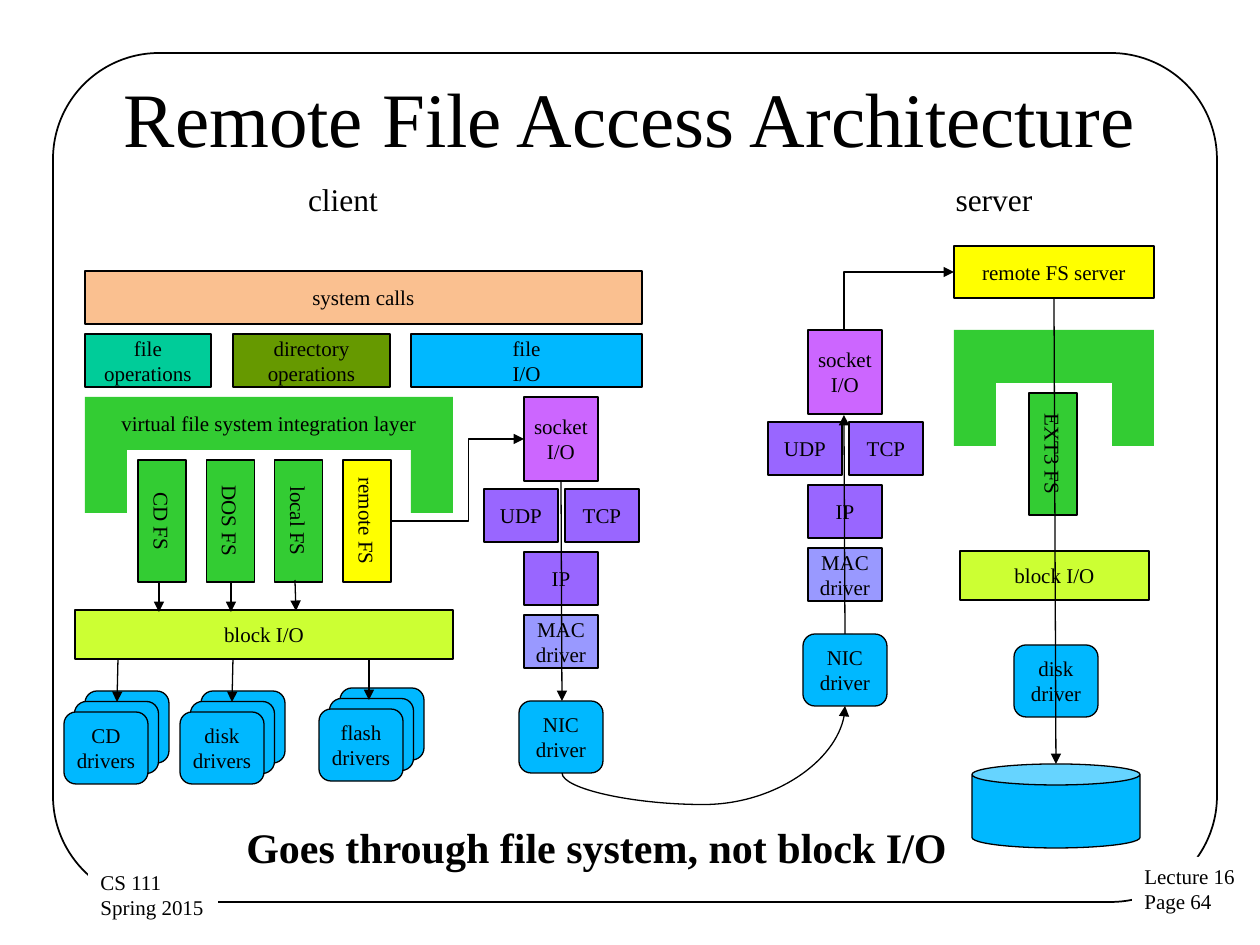
from math import cos, radians, sin

from lxml import etree
from pptx import Presentation
from pptx.dml.color import RGBColor
from pptx.enum.shapes import MSO_CONNECTOR, MSO_SHAPE
from pptx.enum.text import MSO_ANCHOR, PP_ALIGN
from pptx.oxml.ns import qn
from pptx.util import Emu, Inches, Pt

SCALE = 914400 / 126
FONT = "Times New Roman"
RECT, ROUND, CAN = MSO_SHAPE.RECTANGLE, MSO_SHAPE.ROUNDED_RECTANGLE, MSO_SHAPE.CAN
STRAIGHT, ELBOW, CURVE = MSO_CONNECTOR.STRAIGHT, MSO_CONNECTOR.ELBOW, MSO_CONNECTOR.CURVE
LEFT, CENTER = PP_ALIGN.LEFT, PP_ALIGN.CENTER
TOP, MIDDLE = MSO_ANCHOR.TOP, MSO_ANCHOR.MIDDLE

BLACK = RGBColor(0x00, 0x00, 0x00)
WHITE = RGBColor(0xFF, 0xFF, 0xFF)
PEACH = RGBColor(0xFA, 0xC0, 0x90)
TEAL = RGBColor(0x00, 0xCC, 0x99)
OLIVE = RGBColor(0x66, 0x99, 0x00)
BLUE = RGBColor(0x00, 0xB8, 0xFF)
GREEN = RGBColor(0x33, 0xCC, 0x33)
LIME = RGBColor(0xCC, 0xFF, 0x33)
YELLOW = RGBColor(0xFF, 0xFF, 0x00)
PINK = RGBColor(0xCC, 0x66, 0xFF)
PURPLE = RGBColor(0x99, 0x66, 0xFF)
LAVENDER = RGBColor(0x99, 0x99, 0xFF)


def px(*lengths):
    """Turn pixel lengths into EMU."""
    return [Emu(round(length * SCALE)) for length in lengths]


def write(frame, text, size=12, align=CENTER, anchor=MIDDLE, bold=False, wrap=False):
    """Fill a text frame, one paragraph per line of text."""
    frame.text = text
    frame.word_wrap = wrap
    frame.vertical_anchor = anchor
    for paragraph in frame.paragraphs:
        paragraph.alignment = align
        font = paragraph.font
        font.name, font.size, font.bold = FONT, Pt(size), bold
        font.color.rgb = BLACK


def add_box(slide, bounds, fill=None, text="", kind=RECT, weight=0.75, **style):
    """Add a preset shape; no fill or zero weight leaves that part out."""
    box = slide.shapes.add_shape(kind, *px(*bounds))
    box.shadow.inherit = False
    if fill is None:
        box.fill.background()
    else:
        box.fill.solid()
        box.fill.fore_color.rgb = fill
    if weight:
        box.line.color.rgb = BLACK
        box.line.width = Pt(weight)
    else:
        box.line.fill.background()
    if text:
        write(box.text_frame, text, **style)
    return box


def add_file_system(slide, left, top, fill, text):
    """Add a file system box turned to read downwards."""
    width, height = 122, 48
    shift = (width - height) / 2
    box = add_box(slide, (left - shift, top + shift, width, height), fill, text)
    box.rotation = 90


def add_bracket(slide, left, top, width, text=""):
    """Add the integration layer: a bar with a leg at each end."""
    bar, leg_width, leg_height = 53, 42, 63
    add_box(slide, (left, top, width, bar), GREEN, text, weight=0)
    for leg_left in (left, left + width - leg_width):
        add_box(slide, (leg_left, top + bar, leg_width, leg_height), GREEN, weight=0)


def add_driver(slide, left, top, text, copies=1):
    """Add a rounded driver box in front of any stacked ones."""
    for depth in reversed(range(copies)):
        bounds = (left + 10.5 * depth, top - 10.5 * depth, 84, 72)
        add_box(slide, bounds, BLUE, "" if depth else text, ROUND)


def add_network_stack(slide, left, top):
    """Add the socket and protocol boxes of one machine."""
    add_box(slide, (left, top, 74, 84), PINK, "socket\nI/O")
    layers = [(-40, 92, PURPLE, "UDP"), (41, 92, PURPLE, "TCP"),
              (0, 155, PURPLE, "IP"), (0, 218, LAVENDER, "MAC\ndriver")]
    for across, down, fill, text in layers:
        add_box(slide, (left + across, top + down, 74, 53), fill, text)


def add_label(slide, bounds, text, **style):
    """Add a plain text box."""
    write(slide.shapes.add_textbox(*px(*bounds)).text_frame, text, anchor=TOP, **style)


def add_arrow(slide, start, end, kind=STRAIGHT, turn=0, preset=None, bend=None):
    """Add an arrow, optionally turned by a multiple of 90 degrees."""
    middle = [(a + b) / 2 for a, b in zip(start, end)]
    cosine, sine = round(cos(radians(turn))), round(sin(radians(turn)))
    across, down = start[0] - middle[0], start[1] - middle[1]
    reach = (across * cosine + down * sine, down * cosine - across * sine)
    points = [middle[axis] + sign * reach[axis] for sign in (1, -1) for axis in (0, 1)]
    arrow = slide.shapes.add_connector(kind, *px(*points))
    arrow.line.color.rgb = BLACK
    arrow.line.width = Pt(0.75)
    etree.SubElement(arrow.line._get_or_add_ln(), qn("a:tailEnd"), type="triangle")
    properties = arrow.element.spPr
    etree.SubElement(properties, qn("a:effectLst"))
    geometry = properties.find(qn("a:prstGeom"))
    if turn:
        properties.find(qn("a:xfrm")).set("rot", str(turn * 60000))
    if preset:
        geometry.set("prst", preset)
    if bend is not None:
        guides = geometry.find(qn("a:avLst"))
        etree.SubElement(guides, qn("a:gd"), name="adj1", fmla=f"val {bend}")


def add_page_frame(slide):
    """Add the title, the rounded border and the corner notes."""
    title = slide.shapes.title
    title.left, title.top, title.width, title.height = px(63, 38, 1134, 157)
    write(title.text_frame, "Remote File Access Architecture", size=44, wrap=True)
    border = add_box(slide, (53, 53, 1164, 849), kind=ROUND, weight=1)
    border.adjustments[0] = 0.125
    notes = [((1132, 857, 117, 64), "Lecture 16\nPage 64"),
             ((88, 863, 130, 64), "CS 111\nSpring 2015")]
    for bounds, text in notes:
        add_box(slide, bounds, WHITE, text, weight=0, align=LEFT, anchor=TOP)


def add_client(slide):
    """Add the boxes of the client."""
    add_label(slide, (212, 174, 262, 50), "client", size=18, wrap=True)
    add_box(slide, (85, 271, 557, 53), PEACH, "system calls")
    operations = [(85, 126, TEAL, "file\noperations"),
                  (233, 157, OLIVE, "directory\noperations"),
                  (411, 231, BLUE, "file\nI/O")]
    for left, width, fill, text in operations:
        add_box(slide, (left, 334, width, 53), fill, text)
    add_bracket(slide, 85, 397, 368, "virtual file system integration layer")
    systems = [(GREEN, "CD FS"), (GREEN, "DOS FS"), (GREEN, "local FS"), (YELLOW, "remote FS")]
    for index, (fill, text) in enumerate(systems):
        add_file_system(slide, 138 + 68.3 * index, 460, fill, text)
    add_box(slide, (75, 610, 378, 49), LIME, "block I/O")
    for left, top, text in [(64, 712, "CD"), (180, 712, "disk"), (319, 709, "flash")]:
        add_driver(slide, left, top, f"{text}\ndrivers", copies=3)
    add_network_stack(slide, 524, 397)
    add_driver(slide, 519, 701, "NIC\ndriver")


def add_server(slide):
    """Add the boxes of the server."""
    add_label(slide, (863, 174, 262, 50), "server", size=18, wrap=True)
    add_box(slide, (954, 246, 200, 52), YELLOW, "remote FS server")
    add_bracket(slide, 954, 330, 200)
    add_file_system(slide, 1029, 393, GREEN, "EXT3 FS")
    add_box(slide, (960, 551, 189, 49), LIME, "block I/O")
    add_driver(slide, 1014, 645, "disk\ndriver")
    add_box(slide, (972, 764, 168, 84), BLUE, kind=CAN)
    add_network_stack(slide, 808, 330)
    add_driver(slide, 803, 634, "NIC\ndriver")


def add_arrows(slide):
    """Add the paths between the boxes."""
    straight = [(159, 582, 159, 612), (231, 582, 231, 612), (295, 580, 296, 611),
                (118, 660, 117, 702), (233, 660, 232, 702), (369, 659, 369, 700),
                (561, 481, 562, 701), (845, 634, 844, 415), (1054, 298, 1056, 764)]
    for points in straight:
        add_arrow(slide, points[:2], points[2:])
    add_arrow(slide, (391, 521), (524, 439), ELBOW, bend=58400)
    add_arrow(slide, (844, 330), (954, 272), ELBOW, turn=270, preset="bentConnector2")
    add_arrow(slide, (562, 773), (845, 706), CURVE, turn=90, bend=-47100)


def main():
    """Build and save the slide."""
    deck = Presentation()
    deck.slide_width, deck.slide_height = Inches(10), Inches(7.5)
    slide = deck.slides.add_slide(deck.slide_layouts[5])
    add_page_frame(slide)
    add_client(slide)
    add_server(slide)
    add_arrows(slide)
    add_label(slide, (234, 815, 733, 63), "Goes through file system, not block I/O",
              size=24, align=LEFT, bold=True)
    deck.save("out.pptx")


main()
